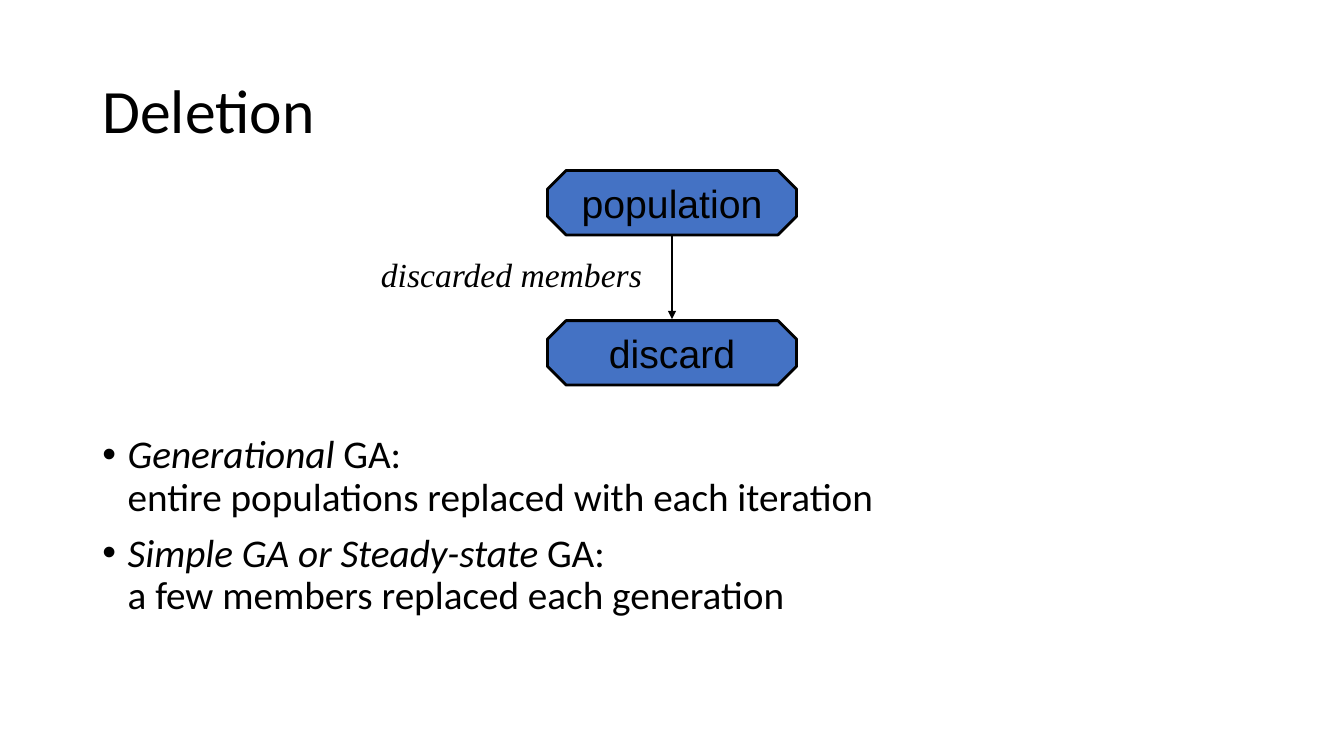
from pptx import Presentation
from pptx.dml.color import RGBColor
from pptx.enum import shapes, text
from pptx.oxml import ns
from pptx.util import Pt
from lxml import etree

BLACK = RGBColor(0, 0, 0)
BLUE = RGBColor(0x44, 0x72, 0xC4)
ITEMS = [
    ("Generational", "entire populations replaced with each iteration"),
    ("Simple GA or Steady-state", "a few members replaced each generation"),
]


def put(shape, x, y, w, h):
    """Move a shape to a box given in points."""
    shape.left, shape.top, shape.width, shape.height = map(Pt, (x, y, w, h))


def add_run(para, words, size, face, slant=False):
    """Add one formatted run to a paragraph."""
    run = para.add_run()
    run.text = words
    font = run.font
    font.size, font.name, font.italic = Pt(size), face, slant
    font.color.rgb = BLACK


def add_title(slide, x, y, w, h):
    """Fill the title placeholder."""
    title = slide.shapes.title
    put(title, x, y, w, h)
    frame = title.text_frame
    frame.auto_size = text.MSO_AUTO_SIZE.NONE
    frame.vertical_anchor = text.MSO_ANCHOR.MIDDLE
    para = frame.paragraphs[0]
    para.alignment = text.PP_ALIGN.LEFT
    para.line_spacing = 0.9
    add_run(para, "Deletion", 44, "Calibri")


def add_list(slide, x, y, w, h):
    """Fill the body placeholder with the kinds of deletion."""
    body = slide.placeholders[1]
    put(body, x, y, w, h)
    frame = body.text_frame
    frame.auto_size = text.MSO_AUTO_SIZE.NONE
    for i, (name, note) in enumerate(ITEMS):
        para = frame.add_paragraph() if i else frame.paragraphs[0]
        para.line_spacing, para.space_before = 0.9, Pt(10)
        props = para._p.get_or_add_pPr()
        props.set("marL", str(Pt(18)))
        props.set("indent", str(-Pt(18)))
        add_run(para, name, 28, "Calibri", True)
        add_run(para, " GA:", 28, "Calibri")
        para.add_line_break()
        add_run(para, note, 28, "Calibri")


def add_node(slide, label, x, y, w, h):
    """Draw one labelled octagon."""
    node = slide.shapes.add_shape(shapes.MSO_SHAPE.OCTAGON, Pt(x), Pt(y), Pt(w), Pt(h))
    node.adjustments[0] = 0.29
    node.shadow.inherit = False
    node.fill.solid()
    node.fill.fore_color.rgb = BLUE
    node.line.color.rgb = BLACK
    node.line.width = Pt(2)
    frame = node.text_frame
    frame.word_wrap = False
    frame.vertical_anchor = text.MSO_ANCHOR.MIDDLE
    para = frame.paragraphs[0]
    para.alignment = text.PP_ALIGN.CENTER
    add_run(para, label, 28, "Arial")


def add_arrow(slide, x, top, end):
    """Draw a downward arrow."""
    arrow = slide.shapes.add_connector(
        shapes.MSO_CONNECTOR.STRAIGHT, Pt(x), Pt(top), Pt(x), Pt(end))
    arrow.line.color.rgb = BLACK
    arrow.line.width = Pt(1)
    tail = etree.SubElement(arrow.line._get_or_add_ln(), ns.qn("a:tailEnd"))
    tail.set("type", "triangle")
    etree.SubElement(arrow._element.spPr, ns.qn("a:effectLst"))


def add_flow(slide, x, y, w, h):
    """Draw the flow from population to discard."""
    tall = 46
    low = y + h - tall
    add_node(slide, "population", x, y, w, tall)
    add_node(slide, "discard", x, low, w, tall)
    add_arrow(slide, x + w / 2, y + tall, low - 1)
    note = slide.shapes.add_textbox(Pt(x - 126), Pt(y + 56), Pt(203), Pt(36))
    frame = note.text_frame
    frame.word_wrap = False
    frame.auto_size = text.MSO_AUTO_SIZE.SHAPE_TO_FIT_TEXT
    add_run(frame.paragraphs[0], "discarded members", 24, "Times New Roman", True)


def main():
    """Build and save the slide."""
    deck = Presentation()
    deck.slide_width, deck.slide_height = Pt(960), Pt(540)
    slide = deck.slides.add_slide(deck.slide_layouts[1])
    add_title(slide, 66, 28.8, 828, 104.4)
    add_list(slide, 66, 307, 828, 180)
    add_flow(slide, 391, 121.8, 178, 153.2)
    deck.save("out.pptx")


if __name__ == "__main__":
    main()
